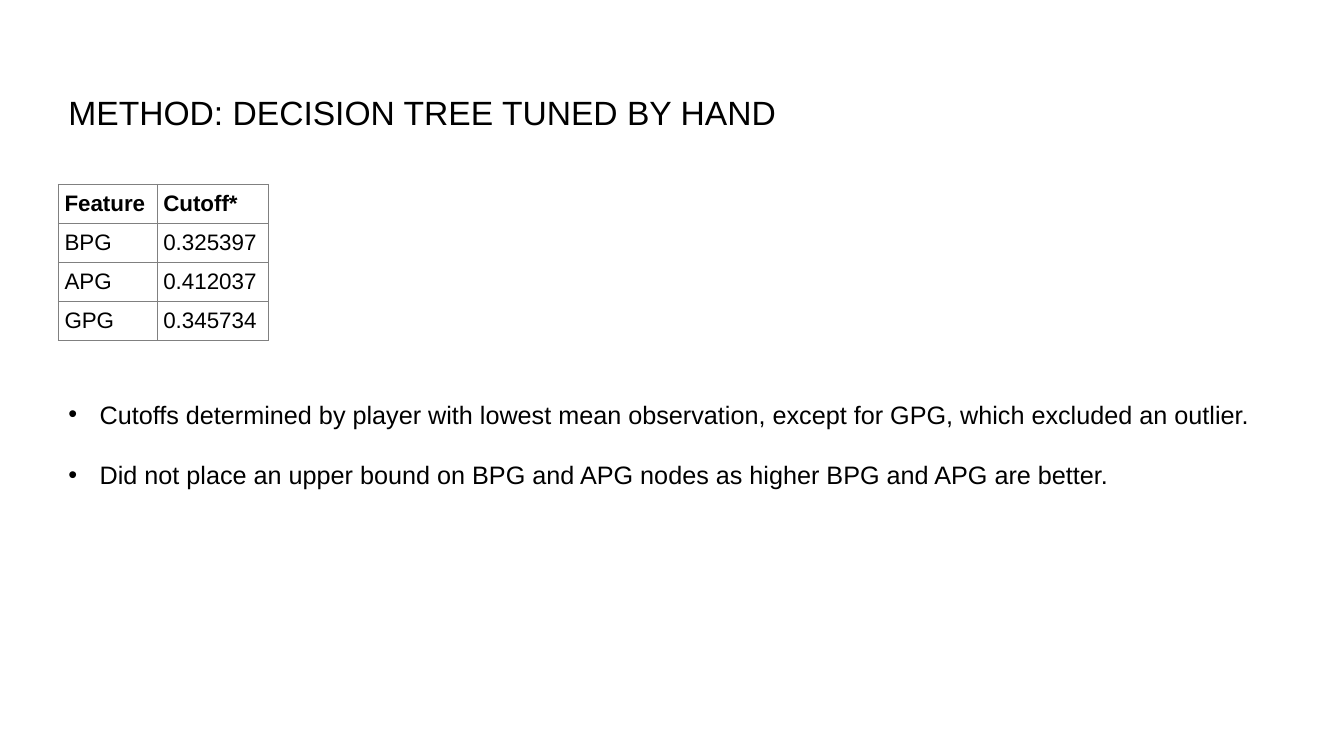
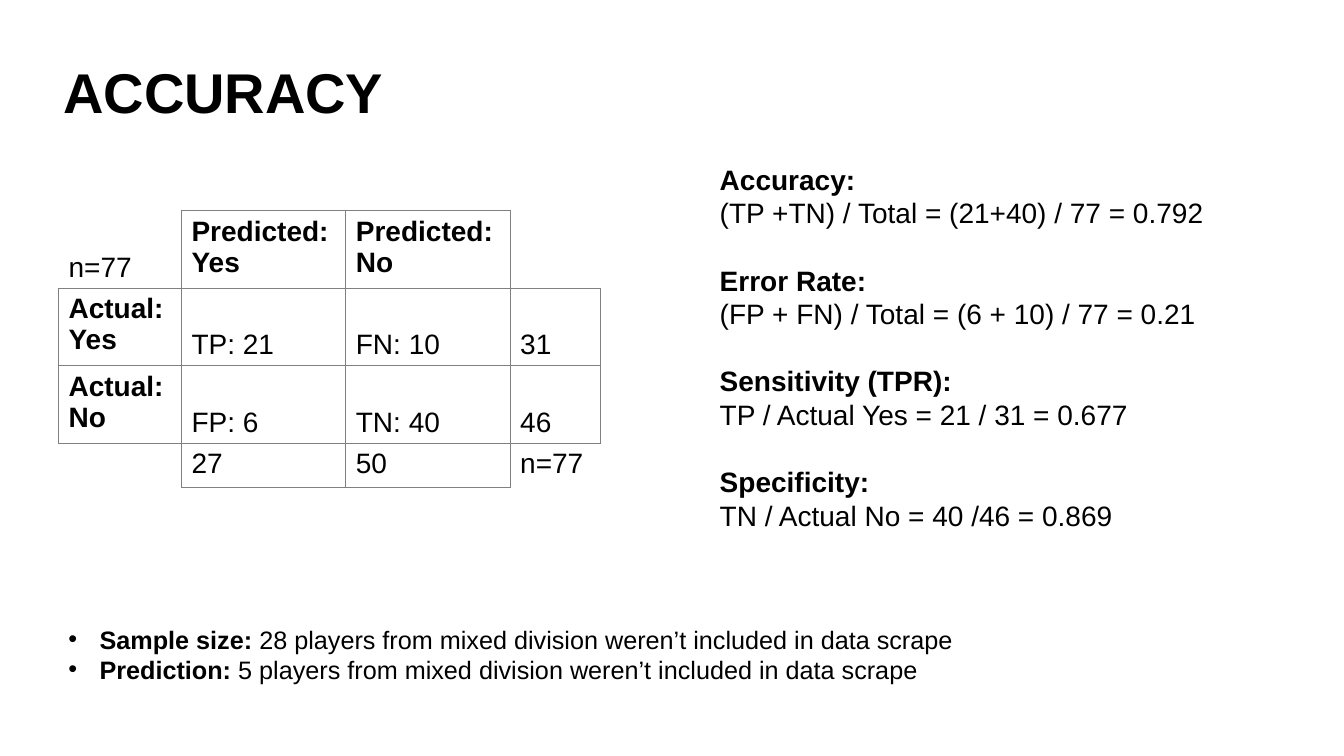
from dataclasses import dataclass

from lxml import etree
from pptx import Presentation
from pptx.dml.color import RGBColor
from pptx.enum.text import MSO_ANCHOR
from pptx.oxml.ns import qn
from pptx.util import Inches, Pt

TOP, MIDDLE, BOTTOM = MSO_ANCHOR.TOP, MSO_ANCHOR.MIDDLE, MSO_ANCHOR.BOTTOM


@dataclass(frozen=True)
class Theme:
    font: str = "Arial"
    ink: RGBColor = RGBColor(0, 0, 0)
    paper: RGBColor = RGBColor(255, 255, 255)
    grid: str = "808080"
    grid_width: int = Pt(1)
    left: float = 0.58
    headline: int = 40
    title: int = 24
    formula: int = 20
    bullet: int = 18
    matrix: int = 20
    cutoff: int = 16
    leading: float = 1.2


THEME = Theme()

CUTOFFS = [
    ("Feature", "Cutoff*"),
    ("BPG", "0.325397"),
    ("APG", "0.412037"),
    ("GPG", "0.345734"),
]
CONFUSION = [
    ("n=77", "Predicted:\nYes", "Predicted:\nNo", ""),
    ("Actual:\nYes", "TP: 21", "FN: 10", "31"),
    ("Actual:\nNo", "FP: 6", "TN: 40", "46"),
    ("", "27", "50", "n=77"),
]
METHOD_NOTES = [
    [("Cutoffs determined by player with lowest mean observation, "
      "except for GPG, which excluded an outlier.", False)],
    [("Did not place an upper bound on BPG and APG nodes "
      "as higher BPG and APG are better.", False)],
]
DATA_NOTES = [
    [("Sample size: ", True),
     ("28 players from mixed division weren’t included in data scrape", False)],
    [("Prediction:", True),
     (" 5 players from mixed division weren’t included in data scrape", False)],
]
METRICS = [
    ("Accuracy:", "(TP +TN) / Total = (21+40) / 77 = 0.792"),
    ("Error Rate:", "(FP + FN) / Total = (6 + 10) / 77 = 0.21"),
    ("Sensitivity (TPR):", "TP / Actual Yes = 21 / 31 = 0.677"),
    ("Specificity:", "TN / Actual No = 40 /46 = 0.869"),
]


def style(paragraph, size, bold=None):
    font = paragraph.font
    font.name, font.size, font.bold = THEME.font, Pt(size), bold
    font.color.rgb = THEME.ink


def add_bullet(paragraph):
    properties = paragraph._p.get_or_add_pPr()
    properties.set("marL", str(Inches(0.31)))
    properties.set("indent", str(-Inches(0.31)))
    etree.SubElement(properties, qn("a:buFont"), typeface=THEME.font)
    etree.SubElement(properties, qn("a:buChar"), char="•")


def add_text(slide, left, top, width, height, lines, size, bullets=False, group=0):
    """Lines are lists of (text, bold); a line of space precedes each group of lines."""
    box = slide.shapes.add_textbox(*map(Inches, (left, top, width, height)))
    frame = box.text_frame
    frame.word_wrap = True
    line_height = Pt(size * THEME.leading)
    for index, parts in enumerate(lines):
        paragraph = frame.add_paragraph() if index else frame.paragraphs[0]
        paragraph.line_spacing = line_height
        if group and index and index % group == 0:
            paragraph.space_before = line_height
        if bullets:
            add_bullet(paragraph)
        style(paragraph, size)
        for text, bold in parts:
            run = paragraph.add_run()
            run.text = text
            run.font.bold = bold


def set_borders(cell, hidden):
    properties = cell._tc.get_or_add_tcPr()
    for side in "LRTB":
        line = etree.SubElement(properties, qn(f"a:ln{side}"), w=str(THEME.grid_width))
        if side in hidden:
            etree.SubElement(line, qn("a:noFill"))
        else:
            fill = etree.SubElement(line, qn("a:solidFill"))
            etree.SubElement(fill, qn("a:srgbClr"), val=THEME.grid)


def add_grid(slide, top, widths, heights, rows, size, cell_format, inset=None):
    """cell_format(row, column, text) gives bold, anchor and the sides without a line."""
    table = slide.shapes.add_table(
        len(rows), len(widths), Inches(THEME.left), Inches(top),
        Inches(sum(widths)), Inches(sum(heights))).table
    table.first_row = table.horz_banding = False
    for column, width in zip(table.columns, widths):
        column.width = Inches(width)
    for row, height in zip(table.rows, heights):
        row.height = Inches(height)
    for r, texts in enumerate(rows):
        for c, text in enumerate(texts):
            cell = table.cell(r, c)
            bold, anchor, hidden = cell_format(r, c, text)
            set_borders(cell, hidden)
            cell.fill.solid()
            cell.fill.fore_color.rgb = THEME.paper
            cell.vertical_anchor = anchor
            if inset is not None:
                cell.margin_left = cell.margin_right = Inches(inset)
                cell.margin_top = cell.margin_bottom = Inches(inset)
            cell.text = text
            for paragraph in cell.text_frame.paragraphs:
                style(paragraph, size, bold)


def cutoff_format(row, column, text):
    return row == 0, MIDDLE, ""


def confusion_format(row, column, text):
    """Two-line labels are bold; the four corners have no outer lines."""
    last = len(CONFUSION) - 1
    is_label = "\n" in text
    anchor = TOP if is_label or row == last else BOTTOM
    hidden = ""
    if row in (0, last) and column in (0, last):
        hidden = ("T" if row == 0 else "B") + ("L" if column == 0 else "R")
    return is_label, anchor, hidden


def build_method(slide):
    add_text(slide, THEME.left, 0.86, 12.2, 0.5,
             [[("METHOD: DECISION TREE TUNED BY HAND", False)]], THEME.title)
    add_grid(slide, 1.83, [0.98, 1.1], [0.38] * 4, CUTOFFS, THEME.cutoff,
             cutoff_format, inset=0.06)
    add_text(slide, THEME.left, 3.91, 12.4, 1.01, METHOD_NOTES, THEME.bullet,
             bullets=True, group=1)


def build_accuracy(slide):
    add_text(slide, 0.53, 0.52, 12.2, 0.77, [[("ACCURACY", True)]], THEME.headline)
    add_grid(slide, 2.09, [1.22, 1.63, 1.63, 0.9], [0.77] * 3 + [0.43],
             CONFUSION, THEME.matrix, confusion_format)
    metric_lines = [line for name, formula in METRICS
                    for line in ([(name, True)], [(formula, False)])]
    add_text(slide, 7.04, 1.56, 5.5, 3.8, metric_lines, THEME.formula, group=2)
    add_text(slide, THEME.left, 6.14, 12.2, 0.71, DATA_NOTES, THEME.bullet, bullets=True)


def main():
    deck = Presentation()
    deck.slide_width, deck.slide_height = Inches(13.33), Inches(7.5)
    blank = deck.slide_layouts[6]
    for build in (build_method, build_accuracy):
        build(deck.slides.add_slide(blank))
    deck.save("out.pptx")


if __name__ == "__main__":
    main()
